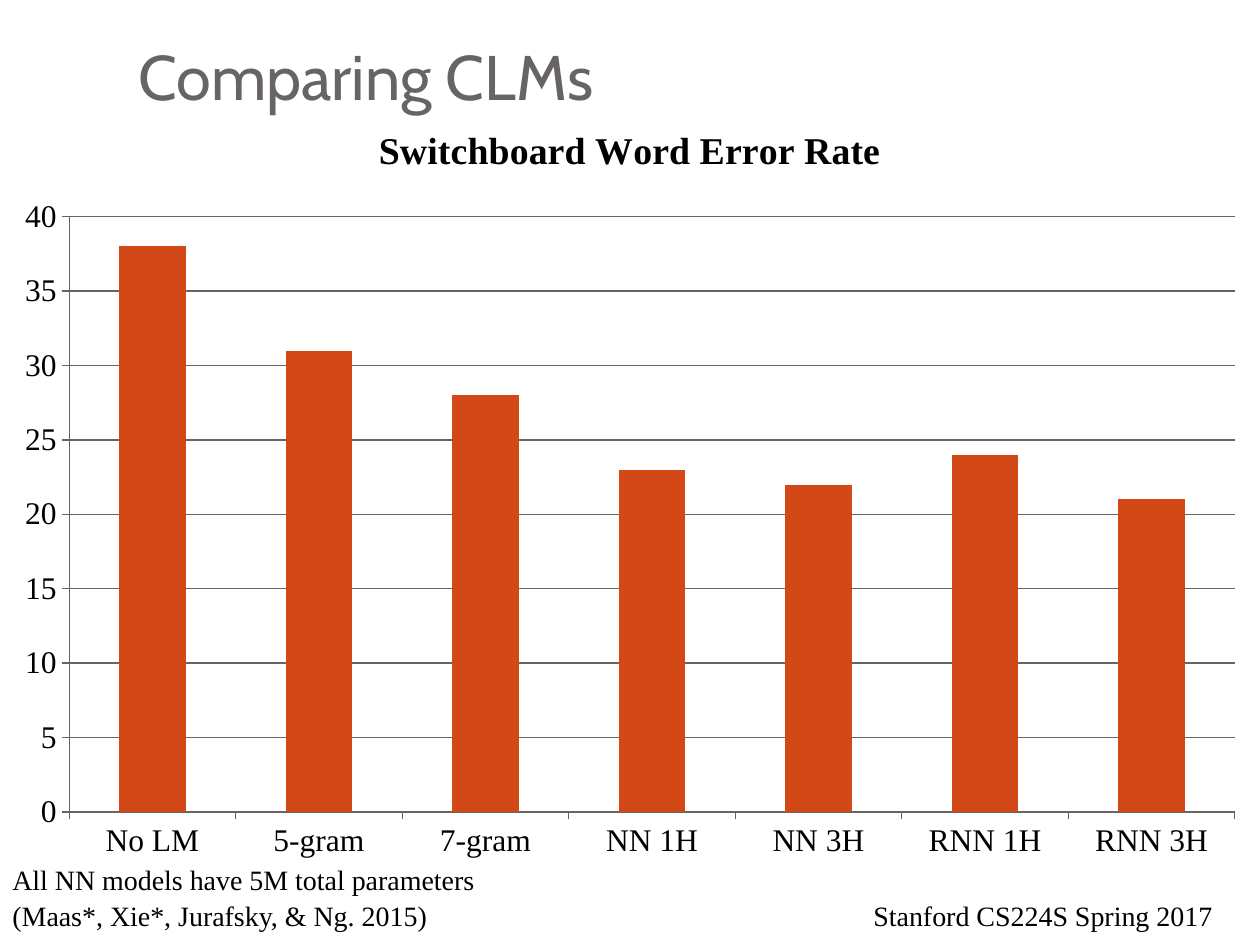
import pptx
import pptx.chart.data
import pptx.dml.color
import pptx.enum.chart
import pptx.enum.text
import pptx.util

Pt = pptx.util.Pt
RGBColor = pptx.dml.color.RGBColor
BLACK = RGBColor(0x00, 0x00, 0x00)
WHITE = RGBColor(0xFF, 0xFF, 0xFF)
GRAY = RGBColor(0x69, 0x64, 0x64)
ORANGE = RGBColor(0xD3, 0x48, 0x17)

ERROR_RATES = {
    "No LM": 38, "5-gram": 31, "7-gram": 28, "NN 1H": 23,
    "NN 3H": 22, "RNN 1H": 24, "RNN 3H": 21,
}


def apply_format(target, values):
    for name, value in values.items():
        setattr(target, name, value)


class SlideBuilder:
    heading_font = "Cabin"
    body_font = "Times New Roman"

    def __init__(self, page):
        self.page = page
        page.background.fill.solid()
        page.background.fill.fore_color.rgb = WHITE

    def format_font(self, font, size, color=BLACK, name=body_font, bold=False):
        apply_format(font, {"name": name, "size": Pt(size), "bold": bold})
        font.color.rgb = color

    def add_title(self, text, left, top, width, height):
        box = self.page.shapes.title
        apply_format(box, {"left": Pt(left), "top": Pt(top),
                           "width": Pt(width), "height": Pt(height)})
        frame = box.text_frame
        apply_format(frame, {
            "margin_left": Pt(7.2), "margin_right": Pt(7.2),
            "margin_top": Pt(3.6), "margin_bottom": Pt(7.2),
            "vertical_anchor": pptx.enum.text.MSO_ANCHOR.BOTTOM,
            "auto_size": pptx.enum.text.MSO_AUTO_SIZE.NONE,
        })
        para = frame.paragraphs[0]
        para.alignment = pptx.enum.text.PP_ALIGN.LEFT
        span = para.add_run()
        span.text = text
        self.format_font(span.font, 36, GRAY, self.heading_font)

    def add_text(self, text, left, top, width, height):
        box = self.page.shapes.add_textbox(Pt(left), Pt(top), Pt(width), Pt(height))
        apply_format(box.text_frame, {
            "word_wrap": True,
            "auto_size": pptx.enum.text.MSO_AUTO_SIZE.SHAPE_TO_FIT_TEXT,
        })
        span = box.text_frame.paragraphs[0].add_run()
        span.text = text
        self.format_font(span.font, 16)

    def add_column_chart(self, title, values, left, top, width, height):
        data = pptx.chart.data.CategoryChartData()
        data.categories = list(values)
        data.add_series("Series 1", list(values.values()))
        chart = self.page.shapes.add_chart(
            pptx.enum.chart.XL_CHART_TYPE.COLUMN_CLUSTERED,
            Pt(left), Pt(top), Pt(width), Pt(height), data).chart
        self.format_font(chart.font, 18)
        apply_format(chart, {"has_legend": False, "has_title": True})

        # Chart title
        chart.chart_title.include_in_layout = False
        span = chart.chart_title.text_frame.paragraphs[0].add_run()
        span.text = title
        self.format_font(span.font, 21.6, bold=True)

        # Columns
        plot = chart.plots[0]
        apply_format(plot, {"gap_width": 150, "vary_by_categories": False})
        fill = plot.series[0].format.fill
        fill.solid()
        fill.fore_color.rgb = ORANGE

        # Axes and gridlines
        for axis in (chart.category_axis, chart.value_axis):
            apply_format(axis, {
                "major_tick_mark": pptx.enum.chart.XL_TICK_MARK.OUTSIDE,
                "minor_tick_mark": pptx.enum.chart.XL_TICK_MARK.NONE,
            })
            axis.format.line.color.rgb = GRAY
            axis.format.line.width = Pt(0.75)
        apply_format(chart.value_axis, {
            "minimum_scale": 0, "maximum_scale": 40, "major_unit": 5,
            "has_major_gridlines": True,
        })
        grid = chart.value_axis.major_gridlines.format.line
        grid.color.rgb = GRAY
        grid.width = Pt(0.75)


def main():
    deck = pptx.Presentation()
    apply_format(deck, {"slide_width": Pt(720), "slide_height": Pt(540)})
    builder = SlideBuilder(deck.slides.add_slide(deck.slide_layouts[5]))

    # Title and chart
    builder.add_title("Comparing CLMs", 72, 21.6, 612, 50.4)
    builder.add_column_chart("Switchboard Word Error Rate", ERROR_RATES,
                             0, 55.5, 720, 444)

    # Notes below the chart and course footer
    builder.add_text("All NN models have 5M total parameters", 0, 489.6, 390, 27)
    builder.add_text("(Maas*, Xie*, Jurafsky, & Ng. 2015)", 0, 510, 444, 27)
    builder.add_text("Stanford CS224S Spring 2017", 492, 510, 228, 27)

    deck.save("out.pptx")


if __name__ == "__main__":
    main()
